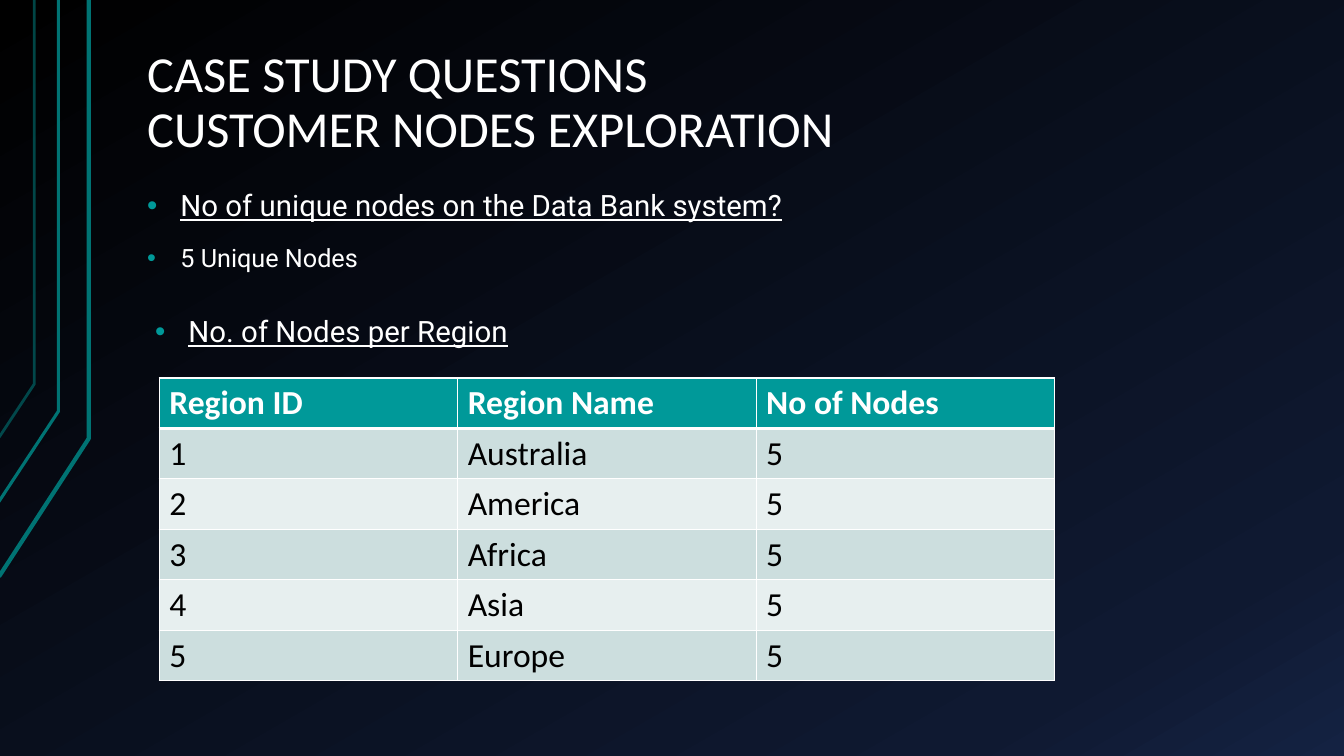
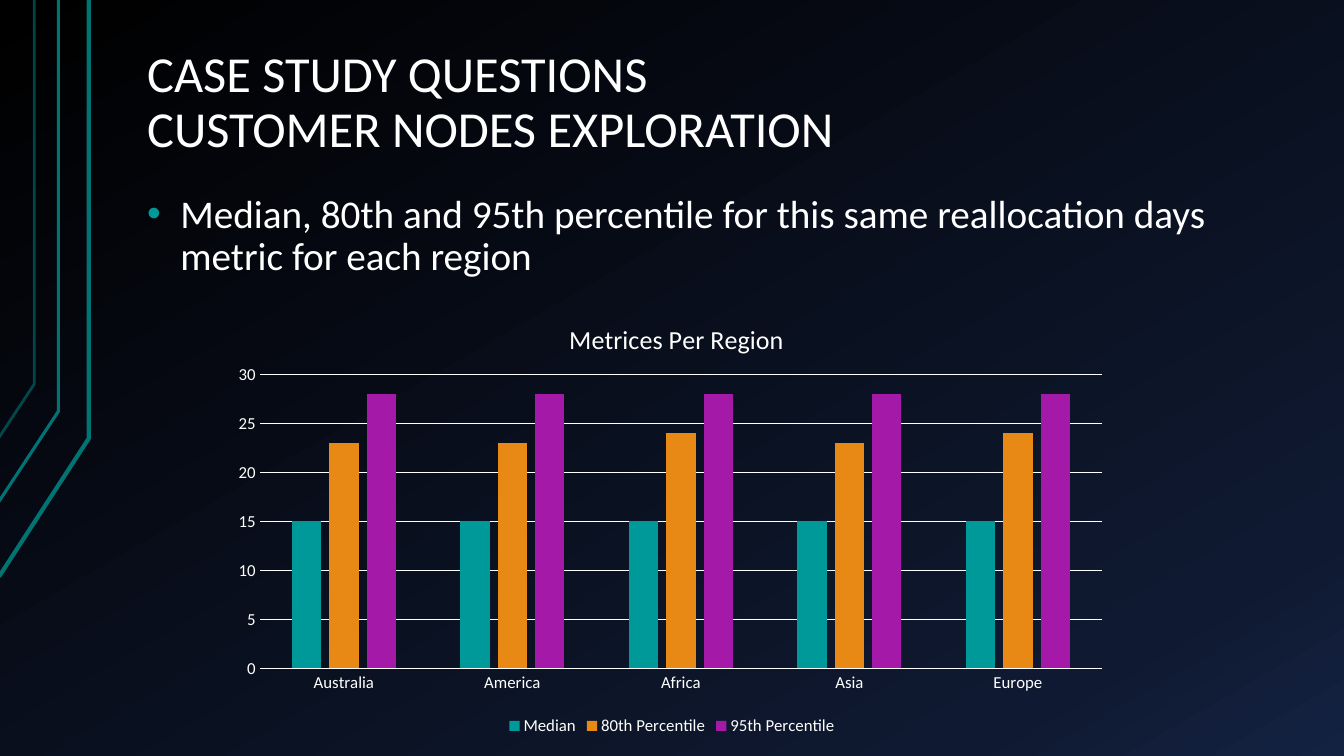
import copy

import lxml.etree
import pptx
import pptx.chart.data
import pptx.dml.color
import pptx.enum.chart
import pptx.enum.text
import pptx.oxml
import pptx.oxml.ns
import pptx.util

Inches = pptx.util.Inches
Pt = pptx.util.Pt
RGBColor = pptx.dml.color.RGBColor
qn = pptx.oxml.ns.qn

WHITE = RGBColor(0xFF, 0xFF, 0xFF)
BLACK = RGBColor(0x00, 0x00, 0x00)
NAVY = RGBColor(0x0F, 0x19, 0x31)
BLUE = RGBColor(0x14, 0x22, 0x42)
TEAL = RGBColor(0x00, 0x99, 0x99)
DARK_TEAL = RGBColor(0x00, 0x73, 0x73)
ORANGE = RGBColor(0xE9, 0x89, 0x15)
PURPLE = RGBColor(0xA4, 0x19, 0xA7)
BAND_DARK = RGBColor(0xCC, 0xDE, 0xDE)
BAND_LIGHT = RGBColor(0xE7, 0xEF, 0xEF)

BODY_FONT = "Calibri"
QUESTION_FONT = "Roboto"
TITLE_LINES = ["CASE STUDY QUESTIONS", "CUSTOMER NODES EXPLORATION"]
GRADIENT = [(0, BLACK), (0.85, NAVY), (1, BLUE)]
# Points, line width and opacity in percent
TRACES = [
    ([(-0.01, 5.72), (0.88, 4.35), (0.88, 0)], 3, 100),
    ([(-0.02, 4.99), (0.58, 4.08), (0.58, 0)], 2.25, 100),
    ([(-0.01, 4.34), (0.34, 3.81), (0.34, 0)], 2, 60),
]
REGIONS = ["Australia", "America", "Africa", "Asia", "Europe"]


def add_xml(parent, tag, **attributes):
    child = lxml.etree.SubElement(parent, qn(tag))
    for name, value in attributes.items():
        child.set(name, str(value))
    return child


def set_chart_layout(element, index, **fractions):
    """Give a chart part a fixed place, in fractions of the chart."""
    for layout in element.findall(qn("c:layout")):
        element.remove(layout)
    layout = pptx.oxml.parse_xml("<c:layout %s/>" % pptx.oxml.ns.nsdecls("c"))
    element.insert(index, layout)
    manual = add_xml(layout, "c:manualLayout")
    if "w" in fractions:
        add_xml(manual, "c:layoutTarget", val="inner")
    for axis in "xy":
        add_xml(manual, f"c:{axis}Mode", val="edge")
    for name, value in fractions.items():
        add_xml(manual, f"c:{name}", val=value)


class Deck:
    def __init__(self):
        self.presentation = pptx.Presentation()
        self.presentation.slide_width = Inches(13.33)
        self.presentation.slide_height = Inches(7.5)
        self.slide = None
        self.set_background()

    def set_background(self):
        master = self.presentation.slide_master
        fill = master.background.fill
        fill.gradient()
        fill.gradient_angle = 300
        stop_list = master.element.find(".//" + qn("a:gsLst"))
        stop_list.append(copy.deepcopy(stop_list[-1]))
        for stop, (position, color) in zip(fill.gradient_stops, GRADIENT):
            stop.position = position
            stop.color.rgb = color

    def add_slide(self):
        self.slide = self.presentation.slides.add_slide(self.presentation.slide_layouts[6])
        for points, width, opacity in TRACES:
            self.add_trace(points, width, opacity)
        self.add_title()

    def add_trace(self, points, width, opacity):
        start, *rest = [(Inches(x), Inches(y)) for x, y in points]
        builder = self.slide.shapes.build_freeform(*start)
        builder.add_line_segments(rest, close=False)
        shape = builder.convert_to_shape()
        shape.shadow.inherit = False
        shape.fill.background()
        shape.line.color.rgb = DARK_TEAL
        shape.line.width = Pt(width)
        if opacity < 100:
            color = shape.line._ln.find(".//" + qn("a:srgbClr"))
            add_xml(color, "a:alpha", val=opacity * 1000)

    def add_text_frame(self, left, top, width, height):
        box = self.slide.shapes.add_textbox(Inches(left), Inches(top), Inches(width), Inches(height))
        frame = box.text_frame
        frame.word_wrap = True
        frame.margin_left = frame.margin_right = Inches(0.13)
        frame.margin_top = frame.margin_bottom = Inches(0.07)
        return frame

    def add_run(self, paragraph, text, size, font=BODY_FONT, color=WHITE, bold=False, underline=False):
        run = paragraph.add_run()
        run.text = text
        run.font.name = font
        run.font.size = Pt(size)
        run.font.color.rgb = color
        run.font.bold = bold
        run.font.underline = underline

    def add_title(self):
        frame = self.add_text_frame(1.33, 0.3, 11.33, 1.34)
        frame.vertical_anchor = pptx.enum.text.MSO_ANCHOR.BOTTOM
        paragraph = frame.paragraphs[0]
        paragraph.line_spacing = 0.9
        for number, line in enumerate(TITLE_LINES):
            if number:
                paragraph.add_line_break()
            self.add_run(paragraph, line, 36)

    def add_bullets(self, left, top, height, items):
        """Each item is text, size, font and whether it is underlined."""
        frame = self.add_text_frame(left, top, 11.33, height)
        for number, (text, size, font, underline) in enumerate(items):
            paragraph = frame.add_paragraph() if number else frame.paragraphs[0]
            paragraph.line_spacing = 0.9
            paragraph.space_before = Pt(16)
            properties = paragraph._p.get_or_add_pPr()
            properties.set("marL", str(Inches(0.33)))
            properties.set("indent", str(-Inches(0.33)))
            add_xml(add_xml(properties, "a:buClr"), "a:srgbClr", val=TEAL)
            add_xml(properties, "a:buFont", typeface="Arial")
            add_xml(properties, "a:buChar", char="•")
            self.add_run(paragraph, text, size, font, underline=underline)

    def set_borders(self, cell, **widths):
        properties = cell._tc.get_or_add_tcPr()
        for side in "LRTB":
            line = add_xml(properties, f"a:ln{side}", w=Pt(widths.get(side, 1)))
            add_xml(add_xml(line, "a:solidFill"), "a:srgbClr", val=WHITE)

    def add_table(self, left, top, column_width, row_height, rows):
        columns = len(rows[0])
        table = self.slide.shapes.add_table(
            len(rows), columns, Inches(left), Inches(top),
            Inches(column_width * columns), Inches(row_height * len(rows))).table
        table.horz_banding = False
        for row_number, values in enumerate(rows):
            header = row_number == 0
            for column_number, value in enumerate(values):
                cell = table.cell(row_number, column_number)
                # The rule under the header is shared by two rows
                thick = {0: {"B": 3}, 1: {"T": 3}}.get(row_number, {})
                self.set_borders(cell, **thick)
                cell.fill.solid()
                band = BAND_DARK if row_number % 2 else BAND_LIGHT
                cell.fill.fore_color.rgb = TEAL if header else band
                if not header:
                    cell.vertical_anchor = pptx.enum.text.MSO_ANCHOR.MIDDLE
                self.add_run(cell.text_frame.paragraphs[0], value, 24,
                             color=WHITE if header else BLACK, bold=header)

    def style_font(self, font, size):
        font.name = BODY_FONT
        font.size = Pt(size)
        font.color.rgb = WHITE
        font.bold = False

    def add_column_chart(self, left, top, width, height, title, categories, series):
        """Each series is name, values and colour."""
        data = pptx.chart.data.CategoryChartData()
        data.categories = categories
        for name, values, _ in series:
            data.add_series(name, values)
        chart = self.slide.shapes.add_chart(
            pptx.enum.chart.XL_CHART_TYPE.COLUMN_CLUSTERED,
            Inches(left), Inches(top), Inches(width), Inches(height), data).chart
        self.style_font(chart.font, 10)

        # Title and plot area
        chart.has_title = True
        self.add_run(chart.chart_title.text_frame.paragraphs[0], title, 18.6)
        set_chart_layout(chart.chart_title._element, 1, x=0.38, y=0.05)
        plot_area = chart._chartSpace.find(".//" + qn("c:plotArea"))
        set_chart_layout(plot_area, 0, x=0.04, y=0.18, w=0.94, h=0.66)

        # Columns
        plot = chart.plots[0]
        plot.gap_width = 219
        plot.overlap = -27
        plot.vary_by_categories = False
        for column_series, (_, _, color) in zip(plot.series, series):
            column_series.format.fill.solid()
            column_series.format.fill.fore_color.rgb = color

        # Axes
        for axis in (chart.category_axis, chart.value_axis):
            axis.major_tick_mark = axis.minor_tick_mark = pptx.enum.chart.XL_TICK_MARK.NONE
            self.style_font(axis.tick_labels.font, 12)
        value_axis = chart.value_axis
        value_axis.minimum_scale = 0
        value_axis.maximum_scale = 30
        value_axis.major_unit = 5
        value_axis.has_major_gridlines = True
        value_axis.format.line.fill.background()
        for line in (chart.category_axis.format.line, value_axis.major_gridlines.format.line):
            line.color.rgb = WHITE
            line.width = Pt(0.75)

        # Legend
        chart.has_legend = True
        chart.legend.position = pptx.enum.chart.XL_LEGEND_POSITION.BOTTOM
        chart.legend.include_in_layout = False
        self.style_font(chart.legend.font, 12)


def main():
    deck = Deck()

    # Nodes per region
    deck.add_slide()
    deck.add_bullets(1.33, 1.83, 1.17, [
        ("No of unique nodes on the Data Bank system?", 21, QUESTION_FONT, True),
        ("5 Unique Nodes", 18, QUESTION_FONT, False),
    ])
    deck.add_bullets(1.41, 3.08, 4.33, [("No. of Nodes per Region", 21, QUESTION_FONT, True)])
    rows = [[str(number), region, "5"] for number, region in enumerate(REGIONS, 1)]
    deck.add_table(1.58, 3.75, 2.96, 0.5, [["Region ID", "Region Name", "No of Nodes"]] + rows)

    # Reallocation days
    deck.add_slide()
    deck.add_bullets(1.33, 1.86, 4.88, [
        ("Median, 80th and 95th percentile for this same reallocation days metric for each region",
         28, BODY_FONT, False),
    ])
    deck.add_column_chart(2.22, 2.92, 8.89, 4.42, "Metrices Per Region", REGIONS, [
        ("Median", [15] * 5, TEAL),
        ("80th Percentile", [23, 23, 24, 23, 24], ORANGE),
        ("95th Percentile", [28] * 5, PURPLE),
    ])

    deck.presentation.save("out.pptx")


if __name__ == "__main__":
    main()
